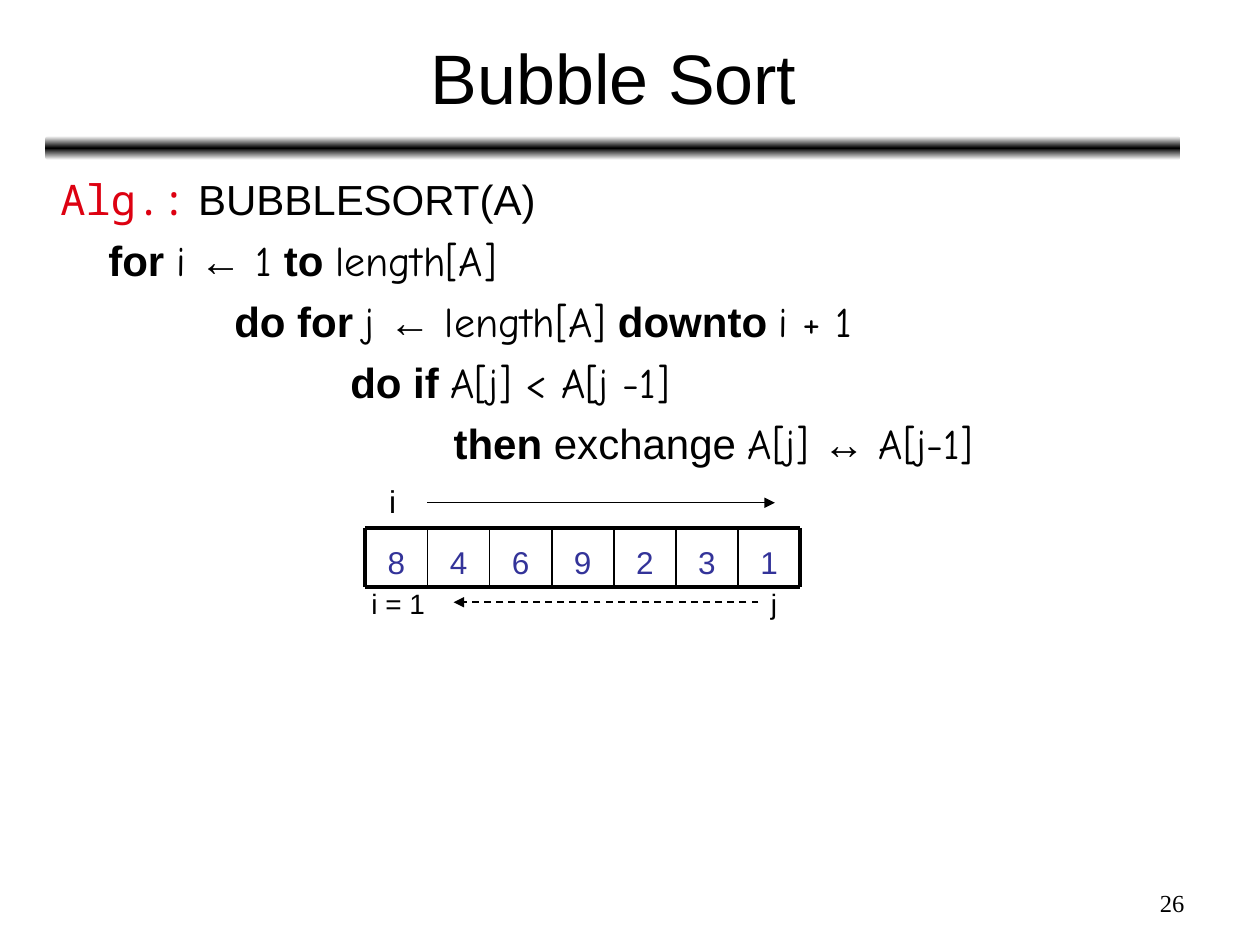
from copy import deepcopy
from dataclasses import dataclass

from pptx import Presentation
from pptx.dml.color import RGBColor
from pptx.enum.dml import MSO_LINE
from pptx.enum.shapes import MSO_CONNECTOR, MSO_SHAPE
from pptx.enum.text import MSO_ANCHOR, MSO_AUTO_SIZE, PP_ALIGN
from pptx.oxml.ns import qn
from pptx.oxml.xmlchemy import OxmlElement
from pptx.util import Inches, Pt


@dataclass(frozen=True)
class Theme:
    black: RGBColor = RGBColor(0, 0, 0)
    white: RGBColor = RGBColor(255, 255, 255)
    red: RGBColor = RGBColor(0xDD, 0x01, 0x11)
    blue: RGBColor = RGBColor(0x33, 0x33, 0x99)
    sans: str = "Arial"
    hand: str = "Comic Neue"
    mono: str = "Noto Sans Mono"
    serif: str = "Times New Roman"
    title: int = 40
    code: int = 24
    value: int = 18
    index: int = 16
    number: int = 14


T = Theme()


@dataclass(frozen=True)
class CodeLine:
    indent: float
    runs: tuple  # (style name, text) pairs


@dataclass(frozen=True)
class Label:
    text: str
    box: tuple
    size: int
    font: str = T.sans
    color: RGBColor = T.black
    anchor: MSO_ANCHOR = MSO_ANCHOR.TOP
    align: PP_ALIGN = PP_ALIGN.LEFT
    before: float = 0


@dataclass(frozen=True)
class Stroke:
    start: tuple
    end: tuple
    width: float
    arrow: bool = False
    dashed: bool = False


STYLES = {
    "alg": {"name": T.mono, "color": T.red},
    "text": {"name": T.sans},
    "key": {"name": T.sans, "bold": True},
    "var": {"name": T.hand},
}
CODE = [
    CodeLine(0, (("alg", "Alg.:"), ("text", " BUBBLESORT(A)"))),
    CodeLine(0.38, (("key", "for "), ("var", "i "), ("text", "←"), ("var", " 1"),
                    ("key", " to "), ("var", "length[A]"))),
    CodeLine(1.38, (("key", "do for "), ("var", "j "), ("text", "←"),
                    ("var", " length[A]"), ("key", " downto "), ("var", "i + 1"))),
    CodeLine(2.3, (("key", "do if "), ("var", "A[j] < A[j -1]"))),
    CodeLine(3.12, (("key", "then"), ("text", " exchange "), ("var", "A[j] "),
                    ("text", "↔"), ("var", " A[j-1]"))),
]
VALUES = [8, 4, 6, 9, 2, 3, 1]
LEFT, RIGHT, TOP, BOTTOM = 2.9, 6.35, 4.19, 4.66
STEP = (RIGHT - LEFT) / len(VALUES)


def place(sp, box: tuple) -> None:
    for attr, val in zip(("left", "top", "width", "height"), box):
        setattr(sp, attr, Inches(val))


def add_run(p, text: str, size: int, **fmt) -> None:
    r = p.add_run()
    r.text = text
    r.font.size = Pt(size)
    r.font.color.rgb = fmt.pop("color", T.black)
    for attr, val in fmt.items():
        setattr(r.font, attr, val)


def add_label(shapes, label: Label) -> None:
    tf = shapes.add_textbox(*map(Inches, label.box)).text_frame
    tf.word_wrap = True
    tf.auto_size = MSO_AUTO_SIZE.NONE
    tf.vertical_anchor = label.anchor
    p = tf.paragraphs[0]
    p.alignment = label.align
    p.space_before = Pt(label.before)
    add_run(p, label.text, label.size, name=label.font, color=label.color)


def add_stroke(shapes, stroke: Stroke) -> None:
    line = shapes.add_connector(MSO_CONNECTOR.STRAIGHT,
                                *map(Inches, stroke.start + stroke.end))
    line.line.color.rgb = T.black
    line.line.width = Pt(stroke.width)
    if stroke.dashed:
        line.line.dash_style = MSO_LINE.DASH
    if stroke.arrow:
        tail = OxmlElement("a:tailEnd")
        tail.set("type", "triangle")
        line.line._get_or_add_ln().append(tail)
    line._element.spPr.append(OxmlElement("a:effectLst"))


def add_bar(shapes) -> None:
    sp = shapes.add_shape(MSO_SHAPE.ROUNDED_RECTANGLE,
                          *map(Inches, (0.36, 1.08, 9.01, 0.19)))
    sp.shadow.inherit = False
    sp.line.fill.background()
    sp.fill.gradient()
    sp.fill.gradient_angle = 90
    stops = sp._element.spPr.find(qn("a:gradFill")).find(qn("a:gsLst"))
    stops.append(deepcopy(stops[0]))
    colors = (T.white, T.black, T.white)
    for stop, pos, color in zip(sp.fill.gradient_stops, (0, 0.5, 1), colors):
        stop.position = pos
        stop.color.rgb = color


def fill_title(sp) -> None:
    place(sp, (0.37, 0.11, 9, 0.99))
    tf = sp.text_frame
    tf.auto_size = MSO_AUTO_SIZE.NONE
    tf.vertical_anchor = MSO_ANCHOR.MIDDLE
    p = tf.paragraphs[0]
    p.alignment = PP_ALIGN.CENTER
    add_run(p, "Bubble Sort", T.title, name=T.sans)


def fill_code(sp) -> None:
    place(sp, (0.38, 1.33, 9, 5.55))
    tf = sp.text_frame
    tf.auto_size = MSO_AUTO_SIZE.NONE
    for i, line in enumerate(CODE):
        p = tf.add_paragraph() if i else tf.paragraphs[0]
        p.space_before = Pt(6)
        pPr = p._p.get_or_add_pPr()
        pPr.set("marL", str(Inches(line.indent)))
        pPr.set("indent", "0")
        pPr.append(OxmlElement("a:buNone"))
        for style, text in line.runs:
            add_run(p, text, T.code, **STYLES[style])


def add_array(shapes) -> None:
    for i, value in enumerate(VALUES):
        add_label(shapes, Label(str(value), (LEFT + i * STEP, TOP, STEP, BOTTOM - TOP),
                                T.value, color=T.blue, anchor=MSO_ANCHOR.BOTTOM,
                                align=PP_ALIGN.CENTER, before=4.5))
    for y in (TOP, BOTTOM):
        add_stroke(shapes, Stroke((LEFT, y), (RIGHT, y), 2.25))
    for i in range(len(VALUES) + 1):
        x = LEFT + i * STEP
        width = 2.25 if i in (0, len(VALUES)) else 1
        add_stroke(shapes, Stroke((x, TOP), (x, BOTTOM), width))


def main() -> None:
    prs = Presentation()
    prs.slide_width, prs.slide_height = Inches(10), Inches(7.5)
    s = prs.slides.add_slide(prs.slide_layouts[1])

    # Heading and pseudocode
    add_bar(s.shapes)
    fill_title(s.shapes.title)
    fill_code(s.placeholders[1])

    # Array with its index markers
    array = s.shapes.add_group_shape().shapes
    add_array(array)
    add_label(array, Label("i = 1", (2.85, 4.61, 0.7, 0.37), T.index))
    add_label(array, Label("j", (6.02, 4.61, 0.25, 0.37), T.index))
    add_stroke(array, Stroke((6.02, 4.78), (3.6, 4.78), 1, arrow=True, dashed=True))
    add_label(s.shapes, Label("i", (2.99, 3.78, 0.25, 0.4), T.value))
    add_stroke(s.shapes, Stroke((3.39, 3.99), (6.15, 3.99), 0.75, arrow=True))

    # Slide number
    add_label(s.shapes, Label("26", (7.17, 7, 2.33, 0.35), T.number, font=T.serif,
                              align=PP_ALIGN.RIGHT))
    prs.save("out.pptx")


if __name__ == "__main__":
    main()
